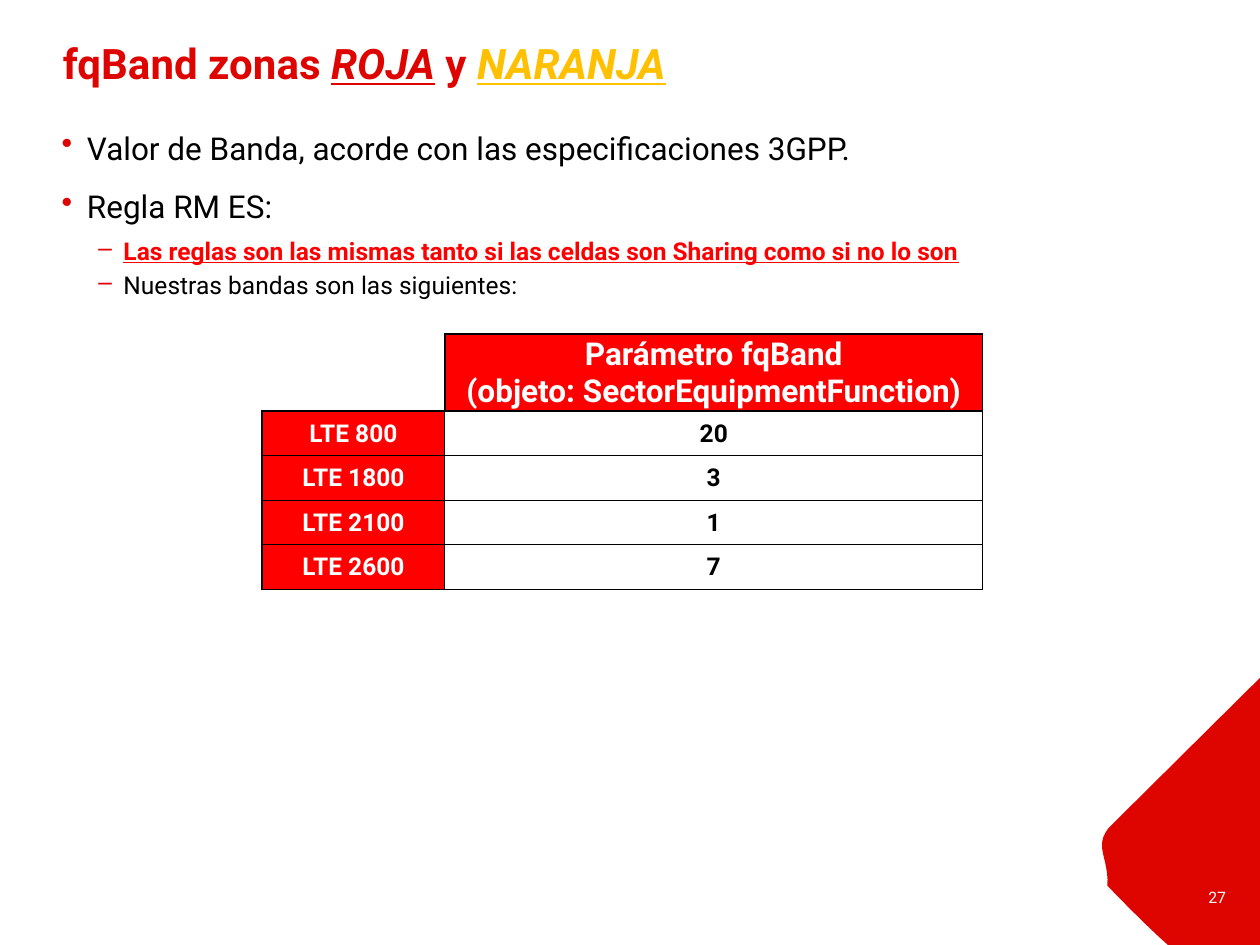
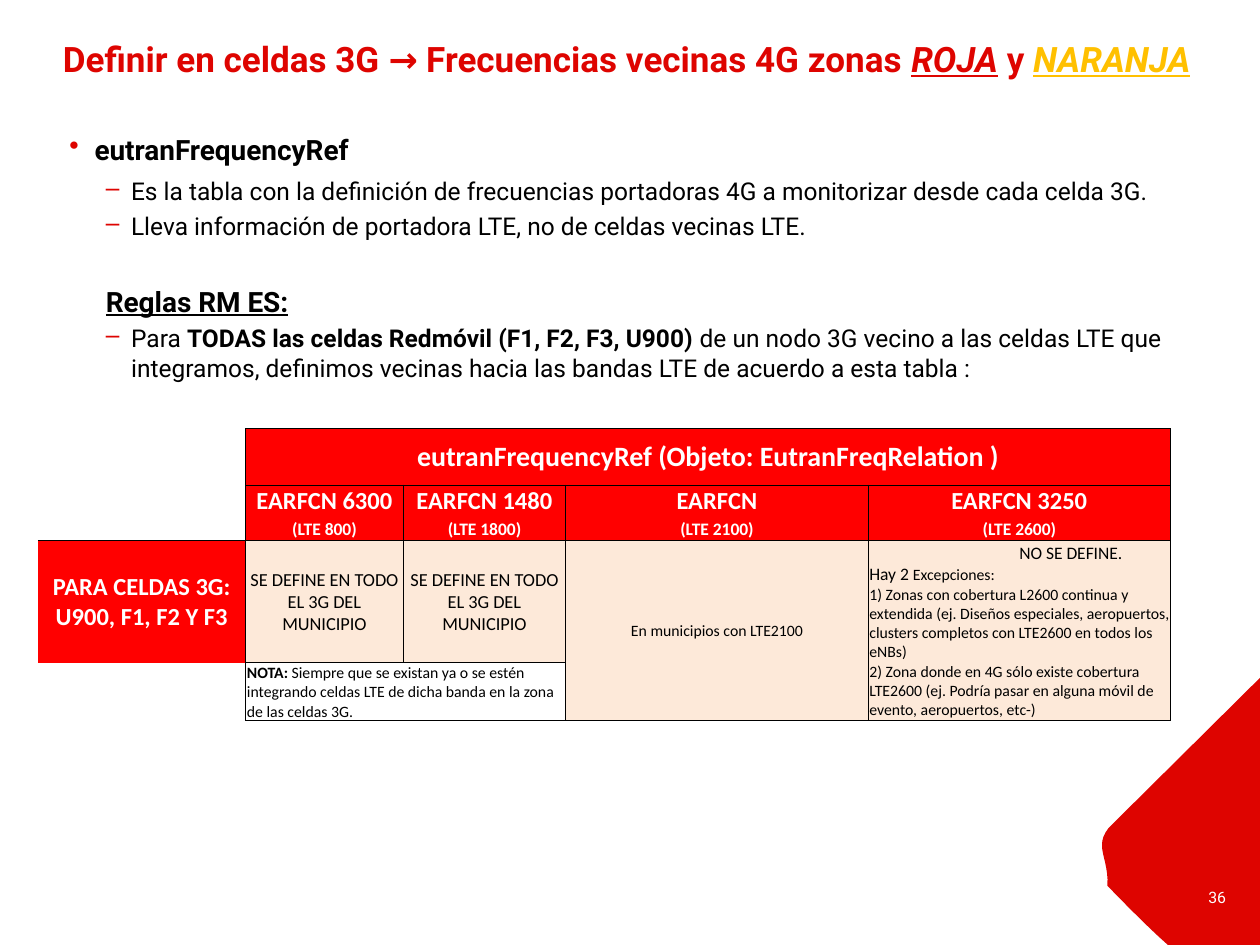
from lxml import etree
from pptx import Presentation
from pptx.dml.color import RGBColor
from pptx.enum.text import MSO_ANCHOR as ANCHOR, PP_ALIGN as ALIGN
from pptx.oxml.ns import qn
from pptx.util import Inches, Pt

# Shared look
BRAND, RED, AMBER, PEACH = "DE0400", "FF0000", "FFC000", "FDE9D9"
BLACK, WHITE = "000000", "FFFFFF"
FONT, TABLE_FONT = "Roboto", "Calibri"
THIN, THICK = 0.5, 1


def rgb(value):
    return RGBColor.from_string(value)


# Text
def add_run(p, text, font=FONT, size=14, color=BLACK, bold=False,
            italic=False, underline=False):
    r = p.add_run()
    r.text = text
    f = r.font
    f.name, f.size, f.color.rgb = font, Pt(size), rgb(color)
    f.bold, f.italic, f.underline = bold, italic, underline


def add_paragraph(tf, runs, align=ALIGN.LEFT, before=0, after=0, **style):
    """Runs are (text, changes) pairs; style holds for all of them."""
    p = tf.paragraphs[0]
    if p.runs:
        p = tf.add_paragraph()
    p.alignment, p.space_before, p.space_after = align, Pt(before), Pt(after)
    for text, changes in runs:
        add_run(p, text, **{**style, **changes})
    return p


def indent(p, left, first=0.0):
    pPr = p._p.get_or_add_pPr()
    pPr.set("marL", str(Inches(left)))
    pPr.set("indent", str(Inches(first)))
    return pPr


def add_bullet(p, left, char):
    pPr = indent(p, left, -0.2)
    color = etree.SubElement(pPr, qn("a:buClr"))
    etree.SubElement(color, qn("a:srgbClr"), val=BRAND)
    etree.SubElement(pPr, qn("a:buChar"), char=char)


def add_point(tf, *runs, **style):
    add_bullet(add_paragraph(tf, runs, before=6, after=6, **style), 0.2, "•")


def add_subpoint(tf, *runs, **style):
    add_bullet(add_paragraph(tf, runs, after=3, **style), 0.49, "–")


def add_text_box(s, left, top, width, height, margins=(0, 0, 0, 0)):
    box = s.shapes.add_textbox(*map(Inches, (left, top, width, height)))
    tf = box.text_frame
    tf.word_wrap = True
    (tf.margin_left, tf.margin_top,
     tf.margin_right, tf.margin_bottom) = map(Inches, margins)
    return tf


# Parts that every slide has
def bezier(start, c1, c2, end, steps=12):
    for i in range(1, steps + 1):
        t = i / steps
        u = 1 - t
        yield tuple(u**3 * a + 3 * u * u * t * b + 3 * u * t * t * c + t**3 * d
                    for a, b, c, d in zip(start, c1, c2, end))


def add_corner(s):
    foot, waist, shoulder = (9.27, 7.5), (8.79, 7.03), (8.8, 6.57)
    outline = [(10, 7.5), foot,
               *bezier(foot, (9.18, 7.42), (9.03, 7.28), waist),
               *bezier(waist, (8.8, 6.8), (8.68, 6.72), shoulder)]
    builder = s.shapes.build_freeform(Inches(10), Inches(5.38))
    builder.add_line_segments([(Inches(x), Inches(y)) for x, y in outline])
    sp = builder.convert_to_shape()
    sp.shadow.inherit = False
    sp.fill.solid()
    sp.fill.fore_color.rgb = rgb(BRAND)
    sp.line.fill.background()


def add_base(prs, title, title_size, title_width, number):
    s = prs.slides.add_slide(prs.slide_layouts[6])
    add_corner(s)
    zone = dict(italic=True, underline=True)
    tf = add_text_box(s, 0.5, 0.3, title_width, 1.14)
    add_paragraph(tf, [(title + " zonas ", {}), ("ROJA", zone), (" y ", {}),
                       ("NARANJA", dict(zone, color=AMBER))],
                  size=title_size, color=BRAND, bold=True)
    tf = add_text_box(s, 8.67, 6.92, 1.06, 0.4, (0.1, 0.05, 0, 0.05))
    tf.vertical_anchor = ANCHOR.MIDDLE
    add_paragraph(tf, [(number, {})], ALIGN.RIGHT, size=9, color=WHITE)
    return s


# Tables
def add_table(s, left, top, widths, heights):
    frame = s.shapes.add_table(
        len(heights), len(widths), Inches(left), Inches(top),
        Inches(sum(widths)), Inches(sum(heights)))
    table = frame.table
    table.first_row = table.horz_banding = False
    for column, width in zip(table.columns, widths):
        column.width = Inches(width)
    for row, height in zip(table.rows, heights):
        row.height = Inches(height)
    return table


def set_borders(cell, edges, thick):
    tcPr = cell._tc.get_or_add_tcPr()
    for side in "LRTB":
        width = THICK if side in thick else THIN
        ln = etree.SubElement(tcPr, qn("a:ln" + side), w=str(Pt(width)))
        if side in edges:
            fill = etree.SubElement(ln, qn("a:solidFill"))
            etree.SubElement(fill, qn("a:srgbClr"), val=BLACK)
        else:
            etree.SubElement(ln, qn("a:noFill"))


def style_cell(table, row, col, fill=None, edges="LRTB", thick="", span=(1, 1)):
    cell = table.cell(row, col)
    rows, cols = span
    if span != (1, 1):
        cell.merge(table.cell(row + rows - 1, col + cols - 1))
    for r in range(row, row + rows):
        for c in range(col, col + cols):
            part = table.cell(r, c)
            set_borders(part, edges, thick)
            if fill:
                part.fill.solid()
                part.fill.fore_color.rgb = rgb(fill)
            else:
                part.fill.background()
    cell.vertical_anchor = ANCHOR.MIDDLE
    cell.margin_left = cell.margin_right = cell.margin_top = Inches(0.01)
    cell.margin_bottom = 0
    return cell


def fill_cell(table, row, col, lines, style, **look):
    cell = style_cell(table, row, col, **look)
    for line in lines:
        add_paragraph(cell.text_frame, [(line, {})], ALIGN.CENTER, **style)


# Slides
def build_band_slide(prs):
    s = add_base(prs, "fqBand", 24, 8.04, "27")
    tf = add_text_box(s, 0.49, 1.02, 8.04, 5.35, (0, 0, 0.08, 0))
    add_point(tf, ("Valor de Banda, acorde con las especificaciones 3GPP.", {}),
              size=18)
    add_point(tf, ("Regla RM ES:", {}), size=18)
    add_subpoint(tf, ("Las reglas son las mismas tanto si las celdas son "
                      "Sharing como si no lo son", {}),
                 color=RED, bold=True, underline=True)
    add_subpoint(tf, ("Nuestras bandas son las siguientes:", {}))

    bands = [("LTE 800", "20"), ("LTE 1800", "3"),
             ("LTE 2100", "1"), ("LTE 2600", "7")]
    table = add_table(s, 2.08, 2.65, [1.45, 4.27], [0.6] + [0.354] * len(bands))
    style_cell(table, 0, 0, edges="RB", thick="RB")
    head = dict(color=WHITE, bold=True)
    fill_cell(table, 0, 1,
              ["Parámetro fqBand", "(objeto: SectorEquipmentFunction)"],
              dict(head, size=18), fill=RED, thick="LRTB")
    for row, (band, value) in enumerate(bands, 1):
        fill_cell(table, row, 0, [band], head, fill=RED, thick="L")
        fill_cell(table, row, 1, [value], dict(bold=True), fill=WHITE, thick="R")


def build_neighbour_slide(prs):
    s = add_base(prs, "Definir en celdas 3G → Frecuencias vecinas 4G",
                 20, 9.27, "36")
    tf = add_text_box(s, 0.55, 1.05, 8.92, 6.31, (0, 0, 0.08, 0))
    add_point(tf, ("eutranFrequencyRef", {}), size=16, bold=True)
    add_subpoint(tf, ("Es la tabla con la definición de frecuencias portadoras "
                      "4G a monitorizar desde cada celda 3G.", {}))
    add_subpoint(tf, ("Lleva información de portadora LTE, no de celdas "
                      "vecinas LTE.", {}))
    rules = add_paragraph(tf, [("Reglas RM ES:", {})], before=22, after=3,
                          size=16, bold=True, underline=True)
    indent(rules, 0.29)
    add_subpoint(tf, ("Para ", {}),
                 ("TODAS las celdas Redmóvil (F1, F2, F3, U900) ", dict(bold=True)),
                 ("de un nodo 3G vecino a las celdas LTE que integramos, definimos "
                  "vecinas hacia las bandas LTE de acuerdo a esta tabla :", {}))

    table = add_table(s, 0.3, 3.4, [1.65, 1.25, 1.29, 2.4, 2.4],
                      [0.45, 0.25, 0.19, 0.97, 0.46])
    head = dict(font=TABLE_FONT, color=WHITE, bold=True)

    # Headings
    style_cell(table, 0, 0, edges="R")
    style_cell(table, 1, 0, edges="RB", span=(2, 1))
    fill_cell(table, 0, 1, ["eutranFrequencyRef (Objeto: EutranFreqRelation )"],
              dict(head, size=16), fill=RED, span=(1, 4))
    carriers = [("EARFCN 6300", "(LTE 800)"), ("EARFCN 1480", "(LTE 1800)"),
                ("EARFCN", "(LTE 2100)"), ("EARFCN 3250", "(LTE 2600)")]
    for col, (carrier, band) in enumerate(carriers, 1):
        fill_cell(table, 1, col, [carrier], head, fill=RED, edges="LRT")
        fill_cell(table, 2, col, [band], dict(head, size=10), fill=RED, edges="LRB")
    fill_cell(table, 3, 0, ["PARA CELDAS 3G:", "U900, F1, F2 Y F3"], head,
              fill=RED, edges="RT")

    # Rules for each carrier
    for col in (1, 2):
        fill_cell(table, 3, col, ["SE DEFINE EN TODO EL 3G DEL MUNICIPIO"],
                  dict(font=TABLE_FONT, size=10.5), fill=PEACH)
    small = dict(font=TABLE_FONT, size=9)
    fill_cell(table, 3, 3, ["En municipios con LTE2100"], small,
              fill=PEACH, thick="L", span=(2, 1))
    tf = style_cell(table, 3, 4, fill=PEACH, span=(2, 1)).text_frame
    indent(add_paragraph(tf, [("NO SE DEFINE.", dict(size=10))], **small), 1.19)
    for runs in (
            [("Hay 2 ", dict(size=10)), ("Excepciones:", {})],
            [("1) Zonas con cobertura L2600 continua y extendida (ej. Diseños "
              "especiales, aeropuertos, clusters completos con LTE2600 en "
              "todos los eNBs)", {})],
            [("2) Zona donde en 4G sólo existe cobertura LTE2600 (ej. Podría "
              "pasar en alguna móvil de evento, aeropuertos, etc-)", {})]):
        add_paragraph(tf, runs, **small)

    # Note
    style_cell(table, 4, 0, edges="R")
    note = style_cell(table, 4, 1, thick="R", span=(1, 2))
    note.vertical_anchor = ANCHOR.BOTTOM
    add_paragraph(note.text_frame, [
        ("NOTA: ", dict(bold=True)),
        ("Siempre que se existan ya o se estén integrando celdas LTE de dicha "
         "banda en la zona de las celdas 3G.", {})], **small)


def main():
    prs = Presentation()
    prs.slide_width, prs.slide_height = Inches(10), Inches(7.5)
    build_band_slide(prs)
    build_neighbour_slide(prs)
    prs.save("out.pptx")


if __name__ == "__main__":
    main()
